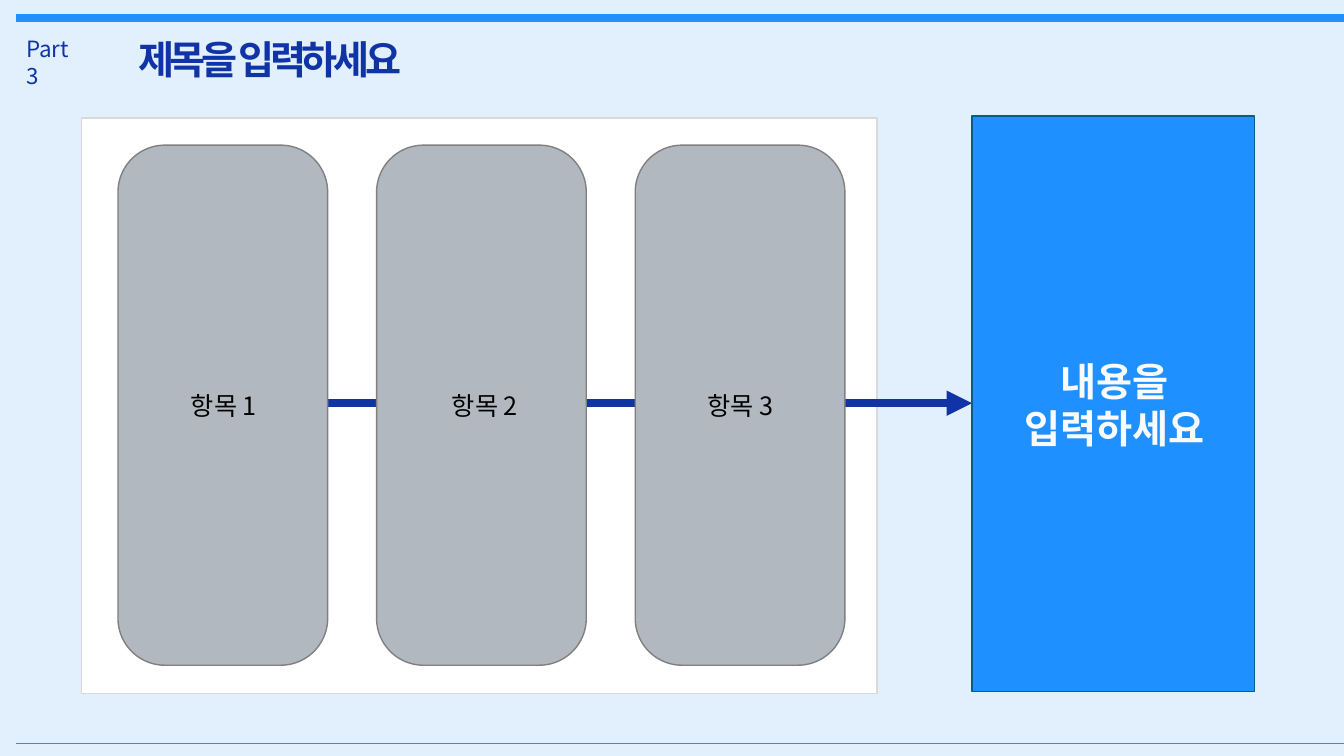
import pptx
import pptx.util
import pptx.dml.color
import pptx.enum.shapes
import pptx.enum.text
import pptx.oxml
import pptx.oxml.ns

Inches = pptx.util.Inches
Pt = pptx.util.Pt
RGBColor = pptx.dml.color.RGBColor
SHAPE = pptx.enum.shapes.MSO_SHAPE
ALIGN = pptx.enum.text.PP_ALIGN
ANCHOR = pptx.enum.text.MSO_ANCHOR
qn = pptx.oxml.ns.qn

FONT = "Noto Sans CJK KR"
PALE = RGBColor(0xE2, 0xF0, 0xFE)
BLUE = RGBColor(0x1E, 0x90, 0xFF)
NAVY = RGBColor(0x10, 0x34, 0xA6)
TEAL = RGBColor(0x00, 0x61, 0x82)
WHITE = RGBColor(0xFF, 0xFF, 0xFF)
SNOW = RGBColor(0xF9, 0xFA, 0xFB)
BLACK = RGBColor(0x00, 0x00, 0x00)
SILVER = RGBColor(0xD9, 0xD9, 0xD9)
STEEL = RGBColor(0xB1, 0xB8, 0xC0)
GRAY = RGBColor(0x80, 0x80, 0x80)


def add_line(slide, left, right, y, color, width, arrow=False):
    line = slide.shapes.add_connector(
        pptx.enum.shapes.MSO_CONNECTOR.STRAIGHT,
        Inches(left), Inches(y), Inches(right), Inches(y))
    line.line.color.rgb = color
    line.line.width = Pt(width)
    if arrow:
        tip = pptx.oxml.parse_xml(
            '<a:tailEnd xmlns:a="%s" type="triangle"/>' % pptx.oxml.ns.nsuri("a"))
        line.line._get_or_add_ln().append(tip)
    props = line._element.spPr
    props.append(props.makeelement(qn("a:effectLst"), {}))


def add_box(slide, kind, box, fill, edge):
    shape = slide.shapes.add_shape(kind, *map(Inches, box))
    shape.shadow.inherit = False
    shape.fill.solid()
    shape.fill.fore_color.rgb = fill
    shape.line.color.rgb = edge
    shape.line.width = Pt(1)
    return shape


def set_text(shape, text, size, color, bold=False, align=ALIGN.LEFT, track=0):
    frame = shape.text_frame
    frame.text = text
    for para in frame.paragraphs:
        para.alignment = align
        for run in para.runs:
            font = run.font
            font.name = FONT
            font.size = Pt(size)
            font.bold = bold
            font.color.rgb = color
            props = run._r.get_or_add_rPr()
            props.find(qn("a:latin")).addnext(
                props.makeelement(qn("a:ea"), {"typeface": FONT}))
            if track:
                props.set("spc", str(track * 100))


def add_text(slide, box, text, size, color, **style):
    shape = slide.shapes.add_textbox(*map(Inches, box))
    shape.text_frame.word_wrap = True
    set_text(shape, text, size, color, **style)
    return shape


def add_title(slide, text):
    title = slide.shapes.title
    title.left, title.top = Inches(1.27), Inches(0.3)
    title.width, title.height = Inches(3.05), Inches(0.57)
    frame = title.text_frame
    frame.word_wrap = False
    frame.auto_size = pptx.enum.text.MSO_AUTO_SIZE.NONE
    frame.vertical_anchor = ANCHOR.MIDDLE
    set_text(title, text, 28, NAVY, bold=True, track=-3)


def add_items(slide):
    for i in range(3):
        card = add_box(slide, SHAPE.ROUNDED_RECTANGLE,
                       (1.17 + 2.565 * i, 1.44, 2.08, 5.16), STEEL, GRAY)
        card.adjustments[0] = 0.224
    for num, left in enumerate((1.59, 4.18, 6.71), 1):
        add_text(slide, (left, 3.82, 1.26, 0.4), f"항목 {num}", 18, BLACK,
                 align=ALIGN.CENTER)


def main():
    deck = pptx.Presentation()
    deck.slide_width, deck.slide_height = Inches(13.33), Inches(7.5)
    slide = deck.slides.add_slide(deck.slide_layouts[5])
    slide.background.fill.solid()
    slide.background.fill.fore_color.rgb = PALE

    add_line(slide, 0.16, 13.33, 0.18, BLUE, 6)
    add_text(slide, (0.16, 0.3, 0.74, 0.37), "Part 3", 16, NAVY)
    add_title(slide, "제목을 입력하세요")
    add_line(slide, 0.16, 13.33, 7.37, BLUE, 0.25)

    add_box(slide, SHAPE.RECTANGLE, (0.81, 1.17, 7.89, 5.71), WHITE, SILVER)
    add_line(slide, 1.17, 9.64, 4, NAVY, 6, arrow=True)
    add_box(slide, SHAPE.RECTANGLE, (9.64, 1.15, 2.8, 5.71), BLUE, TEAL)
    add_items(slide)
    add_text(slide, (9.96, 3.5, 2.19, 1.04), "내용을\n입력하세요", 28, SNOW,
             bold=True, align=ALIGN.CENTER)
    deck.save("out.pptx")


if __name__ == "__main__":
    main()
